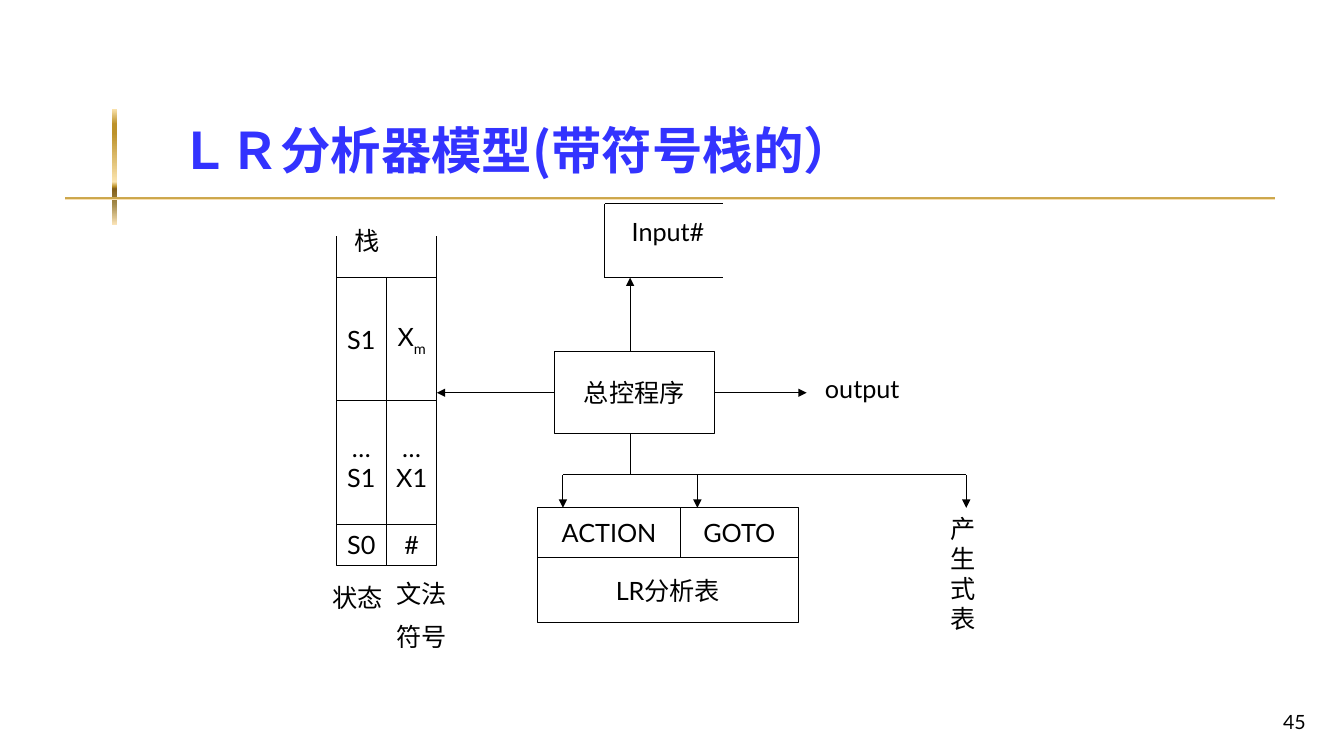
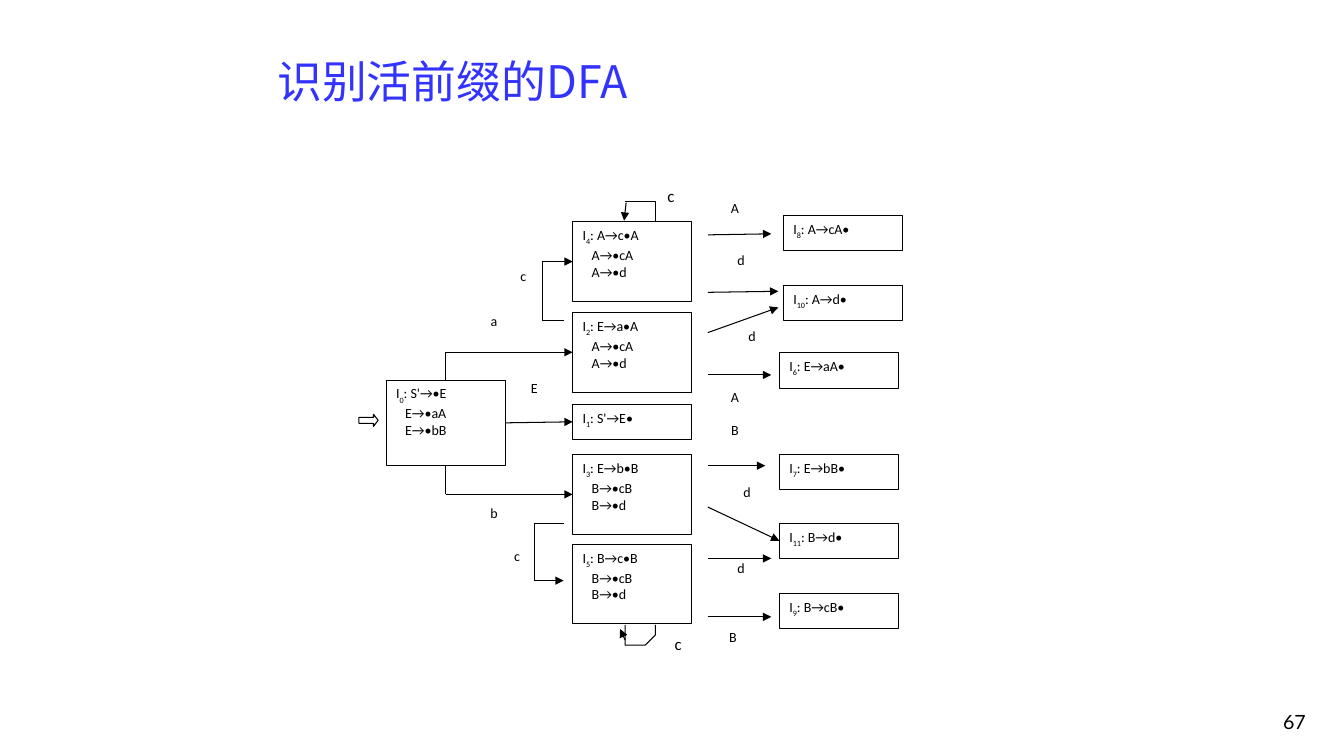
from collections import namedtuple
from dataclasses import dataclass

from lxml import etree
from pptx import Presentation
from pptx import util as u
from pptx.dml.color import RGBColor
from pptx.enum import shapes, text
from pptx.oxml.ns import qn


@dataclass(frozen=True)
class Theme:
    ink: str = "000000"
    paper: str = "FFFFFF"
    title: str = "3333FF"
    gold: tuple = ((0, "FBE4AE"), (13, "BD922A"), (21, "BD922A"), (63, "FBE4AE"),
                   (67, "BD922A"), (69, "835E17"), (82, "A28949"), (100, "FAE3B7"))
    head: str = "Noto Sans CJK JP"
    body: str = "Lato"
    code: str = "Calibri"
    big: int = 36
    mid: int = 32
    main: int = 18
    page: int = 14
    loop: int = 12
    small: int = 10
    line: float = 0.75


T = Theme()
Grid = namedtuple("Grid", "slide left top col row")
KIND, ALIGN, SIDE = shapes.MSO_SHAPE, text.PP_ALIGN, text.MSO_ANCHOR
TOP, LEFT, BASE, RIGHT = range(4)


def put(grid, words, x, y, w, h, kind=None, shape=None, size=T.main, font=T.body,
        color=T.ink, bold=False, align=ALIGN.LEFT, anchor=SIDE.TOP, gap=0, indent=0):
    """Place text on the grid; _x_ marks a subscript, gap and indent skip line one."""
    spot = [u.Inches(v) for v in (grid.left + x * grid.col, grid.top + y * grid.row,
                                  w * grid.col, h * grid.row)]
    if shape:
        shape.left, shape.top, shape.width, shape.height = spot
    elif kind:
        shape = grid.slide.shapes.add_shape(kind, *spot)
        shape.shadow.inherit = False
        shape.fill.solid()
        shape.fill.fore_color.rgb = RGBColor.from_string(T.paper)
        shape.line.color.rgb = RGBColor.from_string(T.ink)
        shape.line.width = u.Pt(T.line)
    else:
        shape = grid.slide.shapes.add_textbox(*spot)
    frame = shape.text_frame
    frame.auto_size = text.MSO_AUTO_SIZE.NONE
    frame.word_wrap = align != ALIGN.CENTER
    frame.vertical_anchor = anchor
    for i, line in enumerate(words.split("\n")):
        para = frame.add_paragraph() if i else frame.paragraphs[0]
        para.alignment = align
        if i:
            para.space_before = u.Pt(gap)
            para._p.get_or_add_pPr().set("marL", str(u.Inches(indent)))
        for j, part in enumerate(line.split("_")):
            if not part:
                continue
            run = para.add_run()
            run.text = part
            run.font.size, run.font.name, run.font.bold = u.Pt(size), font, bold
            run.font.color.rgb = RGBColor.from_string(color)
            props = run.font._element
            etree.SubElement(props, qn("a:ea"), typeface=T.head)
            if j % 2:
                props.set("baseline", "-30000")
    return shape


def link(grid, start, end, arrow=True):
    """Draw a line; an end is a grid point or a (shape, side) pair."""
    joins = [not isinstance(tip[0], (int, float)) for tip in (start, end)]
    spots = []
    for tip, join in zip((start, end), joins):
        x, y = (0, 0) if join else tip
        spots += [u.Inches(grid.left + x * grid.col), u.Inches(grid.top + y * grid.row)]
    wire = grid.slide.shapes.add_connector(shapes.MSO_CONNECTOR.STRAIGHT, *spots)
    if joins[0]:
        wire.begin_connect(*start)
    if joins[1]:
        wire.end_connect(*end)
    wire.line.color.rgb = RGBColor.from_string(T.ink)
    wire.line.width = u.Pt(T.line)
    props = wire.element.spPr
    if arrow:
        etree.SubElement(props.find(qn("a:ln")), qn("a:tailEnd"), type="triangle")
    etree.SubElement(props, qn("a:effectLst"))


deck = Presentation()
deck.slide_width, deck.slide_height = u.Inches(13.33), u.Inches(7.5)
layout = deck.slide_layouts.get_by_name("Title Only")

# Titles and page numbers
pages = []
for words, spot, size, bold, number in (
        ("ＬＲ分析器模型(带符号栈的）", (1.68, 0.23, 11.36, 1.6), T.big, True, "45"),
        ("识别活前缀的DFA", (2.65, 0.52, 8.52, 0.6), T.mid, False, "67")):
    slide = deck.slides.add_slide(layout)
    page = Grid(slide, 0, 0, 1, 1)
    put(page, words, *spot, shape=slide.shapes.title, size=size, font=T.head,
        color=T.title, bold=bold, anchor=SIDE.BOTTOM)
    put(page, number, 10.27, 6.83, 2.78, 0.5, size=T.page,
        align=ALIGN.RIGHT, anchor=SIDE.BOTTOM)
    pages.append(slide)
model, graph = pages

# Gold bars belong to the layout; the second slide hides them
for spot in ((1.11, 1.08, 0.05, 1.15), (0.65, 1.95, 12, 0.03)):
    bar = model.shapes.add_shape(KIND.RECTANGLE, *map(u.Inches, spot))
    bar.shadow.inherit = False
    bar.line.fill.background()
    bar.fill.gradient()
    bar.fill.gradient_angle = 270
    stops = bar.element.spPr.find(".//" + qn("a:gsLst"))
    del stops[:]
    for share, tone in T.gold:
        stop = etree.SubElement(stops, qn("a:gs"), pos=str(share * 1000))
        etree.SubElement(stop, qn("a:srgbClr"), val=tone)
    layout.shapes.element.append(bar.element)
graph.element.set("showMasterSp", "0")

# Parser model: columns of a twelfth of an inch, 51 rows
grid = Grid(model, 0, 2.02, 1 / 12, 4.16 / 51)
cells = {}
for words, *spot in (
        ("总控程序", 66, 18, 19, 10),
        ("S1", 40, 9, 6, 15), ("X_m_", 46, 9, 6, 15),
        ("…\nS1", 40, 24, 6, 15), ("…\nX1", 46, 24, 6, 15),
        ("S0", 40, 39, 6, 5), ("#", 46, 39, 6, 5),
        ("ACTION", 64, 37, 17, 6), ("GOTO", 81, 37, 14, 6),
        ("LR分析表", 64, 43, 31, 8)):
    cells[words] = put(grid, words, *spot, kind=KIND.RECTANGLE,
                       align=ALIGN.CENTER, anchor=SIDE.MIDDLE)
for words, *spot in (
        ("output", 97, 20, 14, 5), ("Input#", 74, 1, 14, 5), ("栈", 41, 2, 9, 5),
        ("状态", 38.4, 45.4, 10, 5), ("文法\n符号", 46, 45, 9, 10.5),
        ("产生式表", 112, 37, 7, 16)):
    put(grid, words, *spot, gap=T.main / 2)
core = cells["总控程序"]
for start, end in (((core, RIGHT), (96, 23)), ((core, LEFT), (52, 23)),
                   ((75, 18), (75, 9)), *(((x, 33), (x, 37)) for x in (67, 83, 115))):
    link(grid, start, end)
for start, end in (((72, 9), (86, 9)), ((72, 0), (86, 0)), ((72, 0), (72, 9)),
                   ((40, 9), (40, 4)), ((52, 9), (52, 4)),
                   ((75, 28), (75, 33)), ((67, 33), (115, 33))):
    link(grid, start, end, arrow=False)

# Automaton: a grid of tenths of an inch
grid = Grid(graph, 0, 0, 0.1, 0.1)
first, state, wire, last = 38.3, 56.8, 70.2, 77.3
wide, tall, flat = 11.8, 7.9, 3.5
a_rules, b_rules = "\nA→•cA\nA→•d", "\nB→•cB\nB→•d"
nodes = {}
for n, x, y, h, items in (
        (0, first, 37.7, 8.5, "S'→•E\nE→•aA\nE→•bB"),
        (4, state, 22, tall, "A→c•A" + a_rules),
        (2, state, 31, tall, "E→a•A" + a_rules),
        (1, state, 40.1, flat, "S'→E•"),
        (3, state, 45.1, tall, "E→b•B" + b_rules),
        (5, state, 54, tall, "B→c•B" + b_rules),
        (8, last + 0.4, 21.4, flat, "A→cA•"), (10, last + 0.4, 28.3, flat, "A→d•"),
        (6, last, 35, flat, "E→aA•"), (7, last, 45.1, flat, "E→bB•"),
        (11, last, 51.9, flat, "B→d•"), (9, last, 58.9, flat, "B→cB•")):
    nodes[n] = put(grid, f"I_{n}_: {items}", x, y, wide, h, kind=KIND.RECTANGLE,
                   size=T.small, font=T.code, indent=0.09)
entry = put(grid, "", 35.6, 41.1, 1.9, 1.2, kind=KIND.RIGHT_ARROW)
entry.adjustments[1] = 0.38

for words, x, y in (
        ("E", 51.8, 37.2), ("a", 47.8, 30.5), ("b", 47.8, 49.6),
        ("c", 50.7, 26), ("c", 50.1, 53.8),
        ("A", 71.7, 19.3), ("A", 71.7, 38), ("B", 71.7, 41.3), ("B", 71.5, 61.9),
        ("d", 72.3, 24.5), ("d", 73.4, 32), ("d", 72.9, 47.5), ("d", 72.3, 55)):
    put(grid, words, x, y, 2.4, 3.8, size=T.small, font=T.code, align=ALIGN.CENTER)
for x, y in ((65.1, 17.9), (65.8, 62.4)):
    put(grid, "c", x, y, 2.9, 3.6, size=T.loop, font=T.code, align=ALIGN.CENTER)

for start, end in (
        ((nodes[0], RIGHT), (nodes[1], LEFT)),
        ((44.2, 34.95), (nodes[2], LEFT)), ((44.2, 49.05), (nodes[3], LEFT)),
        ((53.8, 25.95), (nodes[4], LEFT)), ((53, 57.6), (55.9, 57.6)),
        ((wire, 23.3), (76.5, 23.2)), ((wire, 29), (77.2, 28.9)),
        ((wire, 33), (77.2, 30.5)), ((wire, 37.2), (76.5, 37.2)),
        ((wire, 46.2), (75.9, 46.2)), ((wire, 50.3), (nodes[11], LEFT)),
        ((wire, 55.4), (76.5, 55.4)), ((wire, 61.2), (76.5, 61.2)),
        ((62.1, 20.1), (61.9, 21.9)), ((62, 63.5), (61.5, 62.4))):
    link(grid, start, end)
for start, end in (
        ((nodes[0], TOP), (44.2, 34.95)), ((nodes[0], BASE), (44.2, 49.05)),
        ((53.8, 25.95), (53.8, 31.8)), ((53.8, 31.8), (55.9, 31.8)),
        ((53, 51.9), (53, 57.6)), ((53, 51.9), (55.9, 51.9))):
    link(grid, start, end, arrow=False)

# Loops of the states 4 and 5
for start, *rest in (
        ((64.7, 22.1), (65, 21.5), (65, 21), (64.7, 20.1), (64.4, 19.9), (63.9, 19.7),
         (63.6, 19.6), (62.7, 19.7), (62.3, 19.9), (62.1, 20.1)),
        ((64.8, 62), (64.8, 62.7), (64.6, 63.2), (64.1, 63.5), (63.4, 63.6),
         (62.6, 63.6), (62, 63.5), (61.6, 63.1), (61.5, 62.4))):
    pen = graph.shapes.build_freeform(*start, scale=u.Inches(grid.col))
    pen.add_line_segments(rest, close=False)
    curl = pen.convert_to_shape()
    curl.shadow.inherit = False
    curl.fill.background()
    curl.line.color.rgb = RGBColor.from_string(T.ink)
    curl.line.width = u.Pt(T.line)

deck.save("out.pptx")
